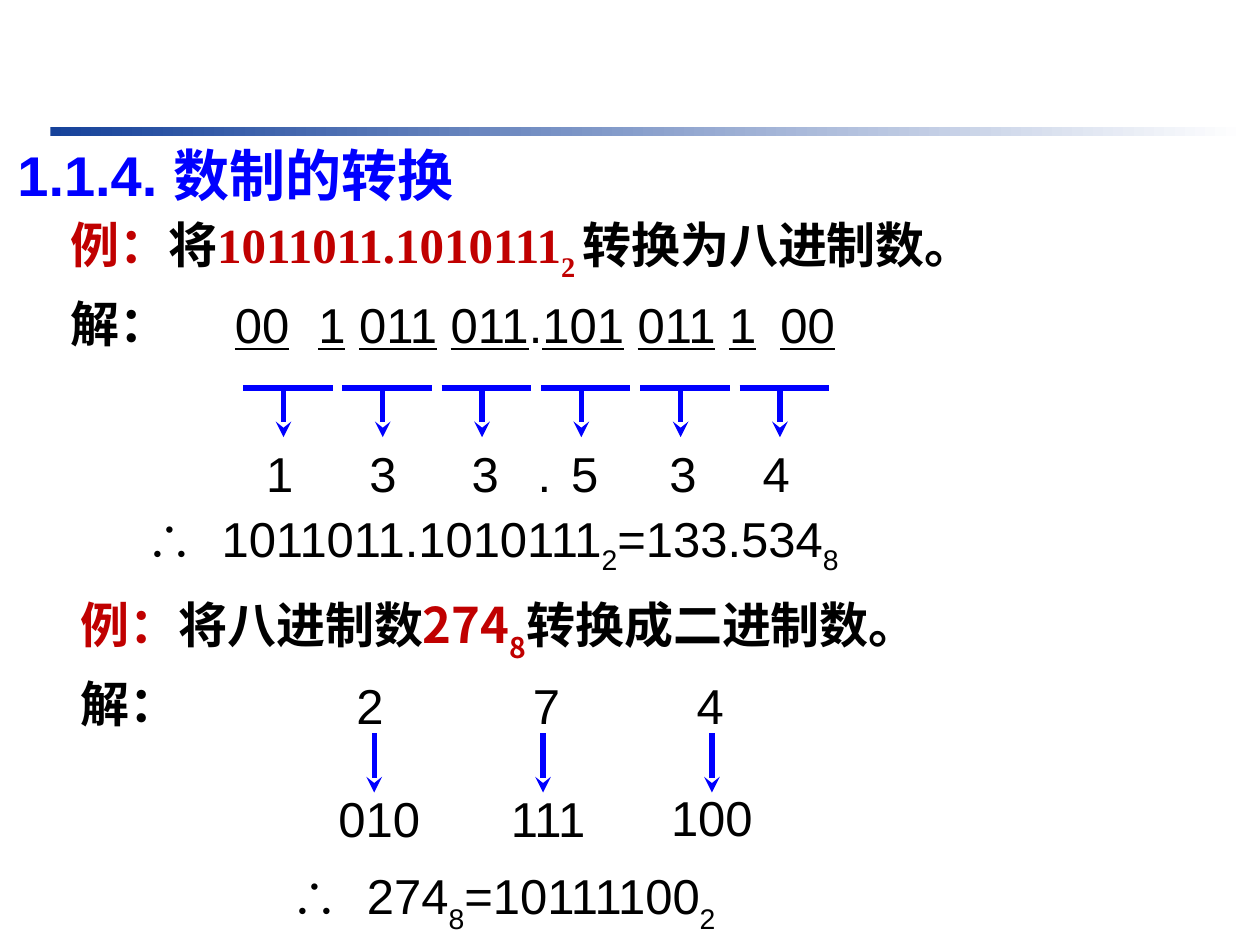
from pptx import Presentation
from pptx.dml.color import RGBColor
from pptx.enum.shapes import MSO_CONNECTOR, MSO_SHAPE
from pptx.enum.text import MSO_ANCHOR, PP_ALIGN
from pptx.oxml.ns import qn
from pptx.util import Inches, Pt
from lxml.etree import SubElement

BLUE, RED, BLACK = "0000FF", "C00000", "000000"
LATIN, SERIF, CJK = "Arial", "Times New Roman", "Noto Sans CJK SC"
ROW_H = 0.57

TITLE = [[("1.1.4. 数制的转换", {})]]
TO_OCTAL = [
    [("例：", {"color": RED}), ("将", {}),
     ("1011011.1010111", {"color": RED, "font": SERIF}),
     ("2 ", {"color": RED, "font": SERIF, "base": -30}),
     ("转换为八进制数。", {})],
    [("解：", {})],
]
TO_BINARY = [
    [("例：", {"color": RED}), ("将八进制数", {"font": CJK}),
     ("274", {"color": RED, "font": CJK}),
     ("8", {"color": RED, "font": CJK, "base": -30}),
     ("转换成二进制数。", {"font": CJK})],
    [("解：", {"font": CJK})],
]
BITS = ["1", " ", "011", " ", "011", ".", "101", " ", "011", " ", "1"]
PADDING = [("00", 1.76, 0.64), ("00", 6.09, 0.64)]
OCTAL_DIGITS = [("1", 2.22), ("3", 3.04), ("3", 3.85), (".", 4.32),
                ("5", 4.64), ("3", 5.42), ("4", 6.16)]
OCTAL_RESULT = [[("∴  1011011.1010111", {}), ("2", {"base": -25}),
                 ("=133.534", {}), ("8", {"base": -25})]]
BINARY_RESULT = [[("∴  274", {}), ("8", {"base": -30}),
                  ("=10111100", {}), ("2", {"base": -30})]]
SOURCE_DIGITS = "2\t7\t4"
DIGIT_TABS = [1.4, 2.7]
TRIPLES = [("010", 3.01, 6.21), ("111", 4.35, 6.21), ("100", 5.65, 6.2)]
GROUPS, GROUP_LEFT, GROUP_STEP, GROUP_W, STEM = 6, 1.93, 0.788, 0.71, 0.32
ARROW_LEFT, ARROW_STEP = 2.97, 1.34


def rgb(color):
    return RGBColor.from_string(color)


def add_text(slide, paras, left, top, width, height=ROW_H, size=28, bold=False,
             color=BLACK, align=PP_ALIGN.CENTER, wrap=False, gap=0,
             anchor=MSO_ANCHOR.TOP, tabs=()):
    tf = slide.shapes.add_textbox(
        Inches(left), Inches(top), Inches(width), Inches(height)).text_frame
    tf.word_wrap, tf.vertical_anchor = wrap, anchor
    for i, runs in enumerate(paras):
        p = tf.paragraphs[0] if i == 0 else tf.add_paragraph()
        p.alignment = align
        if i:
            p.space_before = Pt(gap)
        if tabs:
            tab_list = SubElement(p._p.get_or_add_pPr(), qn("a:tabLst"))
            for pos in tabs:
                SubElement(tab_list, qn("a:tab"), pos=str(Inches(pos)), algn="l")
        for text, fmt in runs:
            r = p.add_run()
            r.text = text
            r.font.size, r.font.bold = Pt(size), bold
            r.font.name = fmt.get("font", LATIN)
            r.font.underline = fmt.get("underline", False)
            r.font.color.rgb = rgb(fmt.get("color", color))
            rPr = r._r.get_or_add_rPr()
            SubElement(rPr, qn("a:ea"), typeface=CJK)
            if "base" in fmt:
                rPr.set("baseline", str(fmt["base"] * 1000))


def add_line(slide, x1, y1, x2, y2, arrow=False):
    sp = slide.shapes.add_connector(
        MSO_CONNECTOR.STRAIGHT, Inches(x1), Inches(y1), Inches(x2), Inches(y2))
    sp.line.color.rgb, sp.line.width = rgb(BLUE), Pt(3)
    if arrow:
        SubElement(sp.line._get_or_add_ln(), qn("a:tailEnd"), type="stealth")
    SubElement(sp._element.spPr, qn("a:effectLst"))


def add_rule(slide):
    sp = slide.shapes.add_shape(
        MSO_SHAPE.RECTANGLE, Inches(0.4), Inches(1.01), Inches(9.49), Inches(0.07))
    sp.shadow.inherit = False
    sp.line.fill.background()
    sp.fill.gradient()
    sp.fill.gradient_angle = 0
    for stop, color in zip(sp.fill.gradient_stops, ("16429A", "FFFFFF")):
        stop.color.rgb = rgb(color)


def main():
    """Build the slide on converting between binary and octal."""
    prs = Presentation()
    prs.slide_width, prs.slide_height = Inches(10), Inches(7.5)
    slide = prs.slides.add_slide(prs.slide_layouts[6])
    add_rule(slide)
    add_text(slide, TITLE, 0.04, 1.03, 8.74, 0.7, size=32, bold=True, color=BLUE,
             align=PP_ALIGN.LEFT, wrap=True, anchor=MSO_ANCHOR.MIDDLE)
    for paras, left, top, height in ((TO_OCTAL, 0.46, 1.65, 1.65),
                                     (TO_BINARY, 0.54, 4.67, 1.51)):
        add_text(slide, paras, left, top, 9.08, height, bold=True,
                 align=PP_ALIGN.JUSTIFY, wrap=True, gap=5.6)

    bits = [(b, {"underline": b.isdigit()}) for b in BITS]
    add_text(slide, [bits], 2.4, 2.29, 3.73)
    for text, left, width in PADDING:
        add_text(slide, [[(text, {"underline": True})]], left, 2.29, width)
    for i in range(GROUPS):
        left = GROUP_LEFT + i * GROUP_STEP
        add_line(slide, left, 3.08, left + GROUP_W, 3.08)
        add_line(slide, left + STEM, 3.08, left + STEM, 3.47, arrow=True)
    for text, center in OCTAL_DIGITS:
        add_text(slide, [[(text, {})]], center - 0.21, 3.47, 0.42)
    add_text(slide, OCTAL_RESULT, 1.04, 3.99, 5.73)

    add_text(slide, [[(SOURCE_DIGITS, {})]], 2.73, 5.31, 3.62,
             align=PP_ALIGN.LEFT, wrap=True, tabs=DIGIT_TABS)
    for i, (text, center, top) in enumerate(TRIPLES):
        x = ARROW_LEFT + i * ARROW_STEP
        add_line(slide, x, 5.82, x, 6.29, arrow=True)
        add_text(slide, [[(text, {})]], center - 0.43, top, 0.86)
    add_text(slide, BINARY_RESULT, 2.21, 6.82, 3.91,
             align=PP_ALIGN.JUSTIFY, wrap=True)
    prs.save("out.pptx")


if __name__ == "__main__":
    main()
